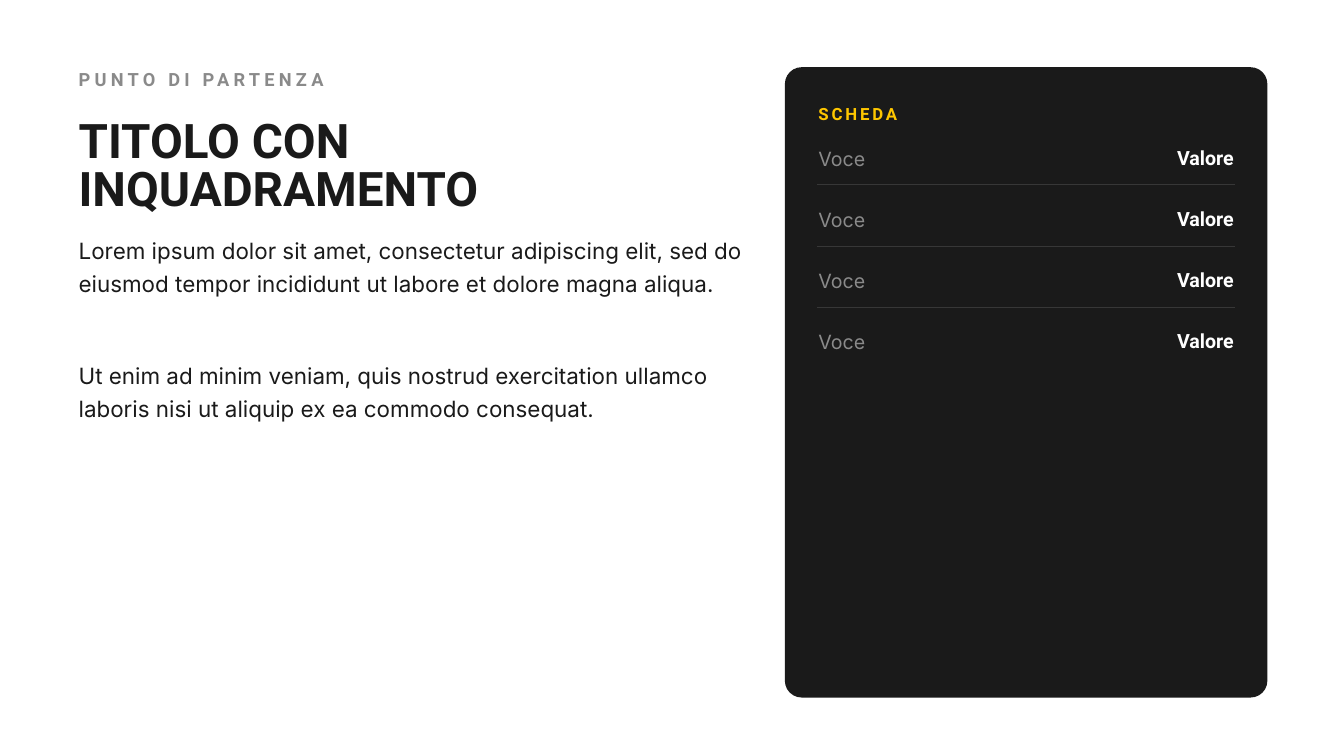
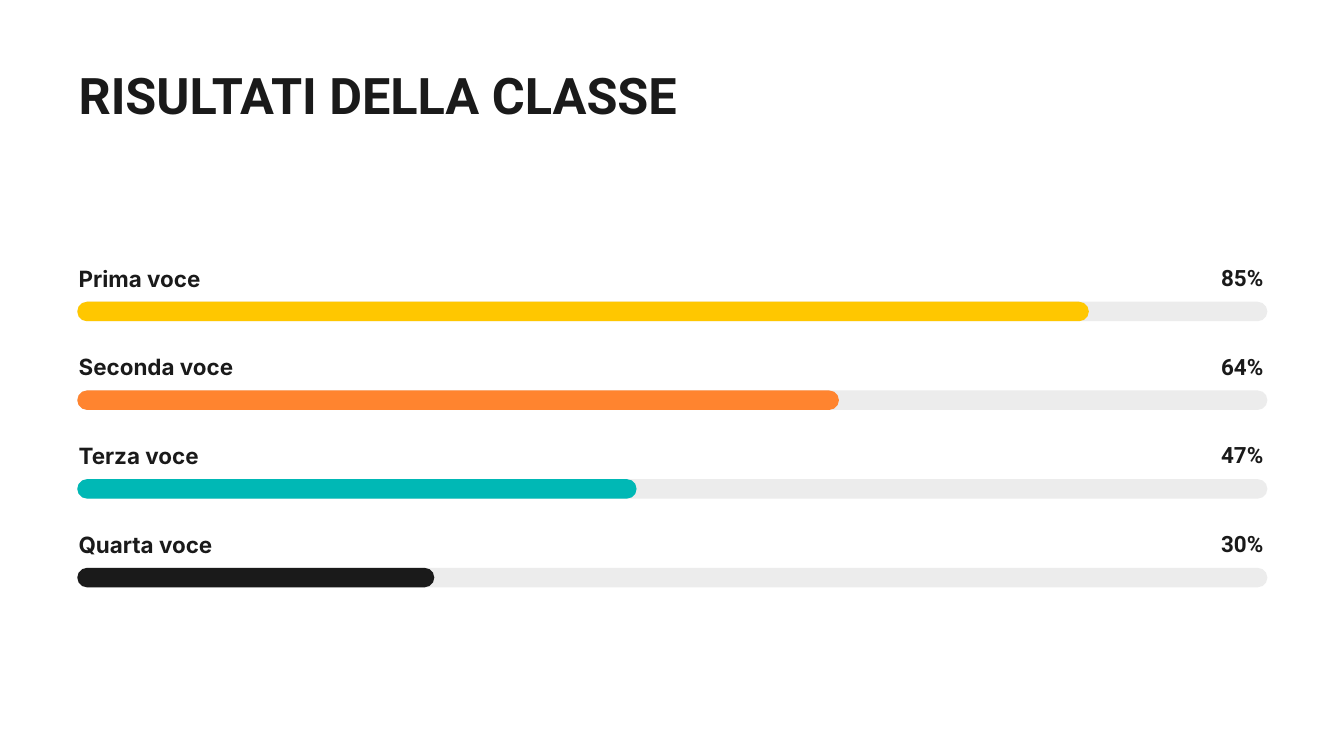
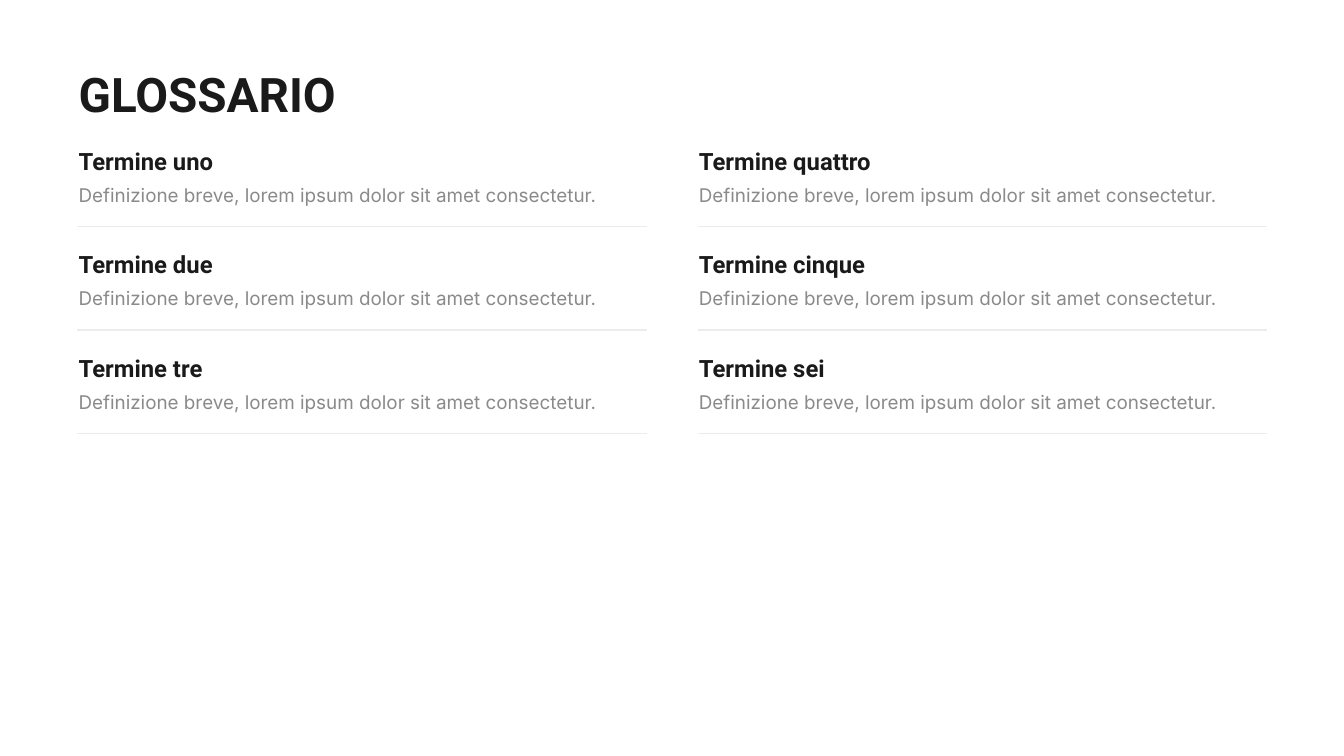
from dataclasses import dataclass, replace

from lxml import etree
from pptx import Presentation
from pptx import util as u
from pptx.dml.color import RGBColor
from pptx.enum import shapes, text
from pptx.oxml.ns import qn


@dataclass(frozen=True)
class Style:
    font: str
    size: float
    color: str
    leading: float
    bold: bool = True
    tracking: float = 0  # points between letters


@dataclass(frozen=True)
class Box:
    left: float
    top: float
    width: float
    height: float

    def inner(self, left, top, width, height):
        """A box given relative to this one."""
        return Box(self.left + left, self.top + top, width, height)

    def lengths(self):
        return [u.Inches(n) for n in (self.left, self.top, self.width, self.height)]


class Theme:
    INK, GRAY, WHITE = "1A1A1A", "8A8A8A", "FFFFFF"
    YELLOW, ORANGE, TEAL = "FFC700", "FF842F", "00B8B5"
    TRACK, CARD_RULE = "ECECEC", "373737"
    HEAD, BODY = "Roboto", "Inter"

    title = Style(HEAD, 51, INK, 50.8)
    framed_title = replace(title, leading=51.8)
    results_title = replace(title, size=54, leading=54.2)
    eyebrow = Style(HEAD, 19.5, GRAY, 23.4, tracking=4.5)
    paragraph = Style(BODY, 24, INK, 35.4, bold=False)
    card_heading = Style(HEAD, 18, YELLOW, 21.6, tracking=3)
    card_entry = Style(BODY, 21, GRAY, 25.2, bold=False)
    card_value = Style(HEAD, 21, WHITE, 25.2)
    bar_label = Style(BODY, 24, INK, 28.8)
    bar_value = Style(HEAD, 24, INK, 28.8)
    term = Style(HEAD, 25.5, INK, 30.6)
    definition = Style(BODY, 20.2, GRAY, 28.8, bold=False)


TEXT_INDENT = 0.02  # text starts slightly inside the shapes it belongs to
CONTENT = Box(1.15, 1, 17.71, 9.38)


# Shared parts
def write(shape, words, style, align=text.PP_ALIGN.LEFT):
    frame = shape.text_frame
    frame.word_wrap = True
    frame.auto_size = text.MSO_AUTO_SIZE.NONE
    frame.vertical_anchor = text.MSO_ANCHOR.TOP
    frame.margin_left = frame.margin_right = 0
    frame.margin_top = frame.margin_bottom = 0
    paragraph = frame.paragraphs[0]
    paragraph.alignment = align
    paragraph.line_spacing = u.Pt(style.leading)
    paragraph.space_before = u.Pt(0)
    run = paragraph.add_run()
    run.text = words
    run.font.name = style.font
    run.font.size = u.Pt(style.size)
    run.font.bold = style.bold
    run.font.color.rgb = RGBColor.from_string(style.color)
    if style.tracking:
        run._r.get_or_add_rPr().set("spc", str(int(style.tracking * 100)))


def add_text(slide, box, words, style, align=text.PP_ALIGN.LEFT):
    write(slide.shapes.add_textbox(*box.lengths()), words, style, align)


def add_titled_slide(presentation, box, words, style):
    slide = presentation.slides.add_slide(presentation.slide_layouts[5])
    title = slide.shapes.title
    title.left, title.top, title.width, title.height = box.lengths()
    write(title, words, style)
    return slide


def add_rounded(slide, box, color, radius):
    shape = slide.shapes.add_shape(
        shapes.MSO_SHAPE.ROUNDED_RECTANGLE, *box.lengths())
    shape.adjustments[0] = radius / min(box.width, box.height)
    shape.fill.solid()
    shape.fill.fore_color.rgb = RGBColor.from_string(color)
    shape.line.fill.background()
    shape.shadow.inherit = False


def add_rule(slide, left, top, width, color, weight):
    start, end, y = u.Inches(left), u.Inches(left + width), u.Inches(top)
    rule = slide.shapes.add_connector(shapes.MSO_CONNECTOR.STRAIGHT, start, y, end, y)
    rule.line.color.rgb = RGBColor.from_string(color)
    rule.line.width = u.Pt(weight)
    etree.SubElement(rule._element.spPr, qn("a:effectLst"))


# Slide 1: framing text and fact card
def add_fact_card(slide, box, heading, facts):
    add_rounded(slide, box, Theme.INK, 0.25)
    padding, pitch = 0.48, 0.91
    width = box.width - 2 * padding
    text_left, text_width = padding + TEXT_INDENT, width - 2 * TEXT_INDENT
    add_text(slide, box.inner(text_left, 0.55, text_width, 0.31),
             heading, Theme.card_heading)
    for index, (entry, value) in enumerate(facts):
        row = box.inner(padding, 1.17 + index * pitch, width, 0.58)
        if index < len(facts) - 1:
            add_rule(slide, row.left, row.top + 0.58, width, Theme.CARD_RULE, 0.75)
        add_text(slide, row.inner(TEXT_INDENT, 0.01, 3, 0.34), entry, Theme.card_entry)
        add_text(slide, row.inner(width - TEXT_INDENT - 0.92, 0, 0.92, 0.35),
                 value, Theme.card_value, text.PP_ALIGN.RIGHT)


def build_framing(presentation, box):
    text_width = 9.93
    slide = add_titled_slide(
        presentation, box.inner(TEXT_INDENT, 0.78, text_width, 1.36),
        "TITOLO CON INQUADRAMENTO", Theme.framed_title)
    add_text(slide, box.inner(TEXT_INDENT, 0.01, text_width, 0.33),
             "PUNTO DI PARTENZA", Theme.eyebrow)
    paragraphs = (
        (2.43, "Lorem ipsum dolor sit amet, consectetur adipiscing elit, sed do "
               "eiusmod tempor incididunt ut labore et dolore magna aliqua."),
        (4.29, "Ut enim ad minim veniam, quis nostrud exercitation ullamco "
               "laboris nisi ut aliquip ex ea commodo consequat."),
    )
    for top, words in paragraphs:
        add_text(slide, box.inner(TEXT_INDENT, top, text_width, 1.06),
                 words, Theme.paragraph)
    card_width = 7.18
    add_fact_card(slide, box.inner(box.width - card_width, 0, card_width, box.height),
                  "SCHEDA", [("Voce", "Valore")] * 4)


# Slide 2: progress bars
def add_progress(slide, box, label, percent, color):
    bar_top, bar_height, value_width = 0.56, 0.29, 0.75
    add_text(slide, box.inner(TEXT_INDENT, 0.01, 8, 0.39), label, Theme.bar_label)
    add_text(slide, box.inner(box.width - value_width - 0.06, 0, value_width, 0.4),
             f"{percent}%", Theme.bar_value, text.PP_ALIGN.RIGHT)
    for share, fill in ((100, Theme.TRACK), (percent, color)):
        bar = box.inner(0, bar_top, box.width * share / 100, bar_height)
        add_rounded(slide, bar, fill, bar_height / 2)


def build_results(presentation, box):
    slide = add_titled_slide(
        presentation, box.inner(TEXT_INDENT, 0.1, box.width, 0.75),
        "RISULTATI DELLA CLASSE", Theme.results_title)
    results = (
        ("Prima voce", 85, Theme.YELLOW),
        ("Seconda voce", 64, Theme.ORANGE),
        ("Terza voce", 47, Theme.TEAL),
        ("Quarta voce", 30, Theme.INK),
    )
    for index, result in enumerate(results):
        row = box.inner(0, 2.93 + index * 1.32, box.width, 0.85)
        add_progress(slide, row, *result)


# Slide 3: two-column glossary
def add_entry(slide, box, term, definition):
    add_text(slide, box.inner(TEXT_INDENT, 0, box.width, 0.42), term, Theme.term)
    add_text(slide, box.inner(TEXT_INDENT, 0.49, box.width, 0.45),
             definition, Theme.definition)
    add_rule(slide, box.left, box.top + box.height, box.width, Theme.TRACK, 1.5)


def build_glossary(presentation, box):
    slide = add_titled_slide(
        presentation, box.inner(TEXT_INDENT, 0.11, box.width, 0.7),
        "GLOSSARIO", Theme.title)
    columns = (("uno", "due", "tre"), ("quattro", "cinque", "sei"))
    gap = 0.75
    width = (box.width - gap) / len(columns)
    for column, numbers in enumerate(columns):
        for row, number in enumerate(numbers):
            cell = box.inner(column * (width + gap), 1.18 + row * 1.54, width, 1.19)
            add_entry(slide, cell, f"Termine {number}",
                      "Definizione breve, lorem ipsum dolor sit amet consectetur.")


def main():
    presentation = Presentation()
    presentation.slide_width = u.Inches(20)
    presentation.slide_height = u.Inches(11.25)
    for build in (build_framing, build_results, build_glossary):
        build(presentation, CONTENT)
    presentation.save("out.pptx")


if __name__ == "__main__":
    main()
